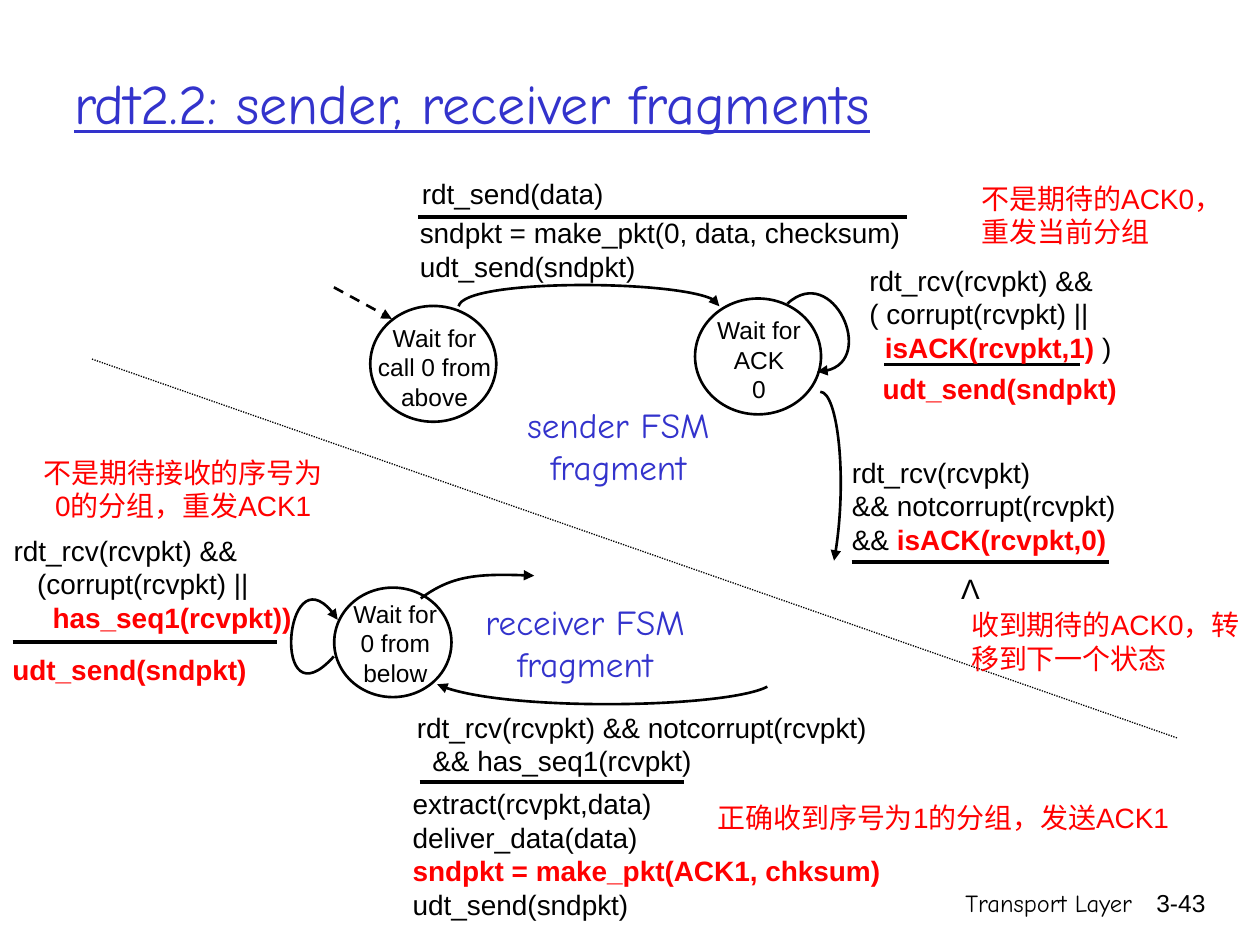
from dataclasses import dataclass
from typing import Any

from lxml.etree import SubElement
from pptx import Presentation
from pptx.dml.color import RGBColor
from pptx.enum.dml import MSO_LINE
from pptx.enum.shapes import MSO_CONNECTOR, MSO_SHAPE
from pptx.enum.text import MSO_ANCHOR, MSO_AUTO_SIZE, PP_ALIGN
from pptx.oxml.ns import qn
from pptx.util import Pt

Point = tuple[float, float]
Area = tuple[float, float, float, float]  # left, top, width, height


@dataclass(frozen=True)
class Theme:
    black: RGBColor = RGBColor(0, 0, 0)
    white: RGBColor = RGBColor(255, 255, 255)
    red: RGBColor = RGBColor(255, 0, 0)
    blue: RGBColor = RGBColor(0x33, 0x33, 0xCC)
    code_font: str = "Arial"
    title_font: str = "Comic Neue"
    title: float = 32
    heading: float = 20
    body: float = 16
    small: float = 14
    rule: float = 2.25
    outline: float = 1.5
    hairline: float = 0.75


THEME = Theme()
SPACE = 4.45  # width of one space in body text


@dataclass(frozen=True)
class Style:
    color: RGBColor = THEME.black
    size: float = THEME.body
    font: str = THEME.code_font
    align: PP_ALIGN = PP_ALIGN.LEFT
    anchor: MSO_ANCHOR = MSO_ANCHOR.TOP
    underline: bool = False
    wrap: bool = True
    grow: bool = False


@dataclass(frozen=True)
class Line:
    """A paragraph whose middle part is bold red."""
    before: str = ""
    strong: str = ""
    after: str = ""
    indent: int = 0


@dataclass(frozen=True)
class Label:
    area: Area
    lines: tuple[Line, ...]
    style: Style = Style()


@dataclass(frozen=True)
class State:
    circle: Area
    label: Label


@dataclass(frozen=True)
class Stroke:
    start: Point
    end: Point
    width: float = THEME.rule
    dash: Any = None
    arrow: bool = False


STATE = Style(size=THEME.small, align=PP_ALIGN.CENTER)
PAGE_NUMBER = Style(size=THEME.small, align=PP_ALIGN.RIGHT)
FOOTER = Style(size=THEME.small, font=THEME.title_font, align=PP_ALIGN.RIGHT)
TITLE = Style(THEME.blue, THEME.title, THEME.title_font, anchor=MSO_ANCHOR.MIDDLE, underline=True)
HEADING = Style(THEME.blue, THEME.heading, THEME.title_font, PP_ALIGN.CENTER, wrap=False, grow=True)
NOTE = Style(THEME.red, grow=True)
CENTRED_NOTE = Style(THEME.red, align=PP_ALIGN.CENTER, wrap=False, grow=True)
SYMBOL = Style(align=PP_ALIGN.CENTER, grow=True)

RECEIVE = Line("rdt_rcv(rcvpkt) &&")
SEND = Line("udt_send(sndpkt)")
RESEND = Line(strong="udt_send(sndpkt)")
FRAGMENT = Line("fragment")

LABELS = (
    Label((425.9, 504, 228.2, 36), (Line("Transport Layer"),), FOOTER),
    Label((642.7, 504, 53.3, 36), (Line("3-43"),), PAGE_NUMBER),
    Label((35.4, 13.5, 612, 90), (Line("rdt2.2: sender, receiver fragments"),), TITLE),
    Label((232.8, 119.7, 293, 31.7), (Line("sndpkt = make_pkt(0, data, checksum)"), SEND)),
    Label((234, 97.5, 136, 22.3), (Line("rdt_send(data)"),)),
    Label((497.3, 208.8, 167, 31.7), (RESEND,)),
    Label((489.7, 146.9, 213.8, 45.4), (
        RECEIVE, Line("( corrupt(rcvpkt) ||"), Line("", "isACK(rcvpkt,1)", " )", indent=2))),
    Label((479.7, 256.6, 190, 45.4), (
        Line("rdt_rcv(rcvpkt)"), Line("&& notcorrupt(rcvpkt)"), Line("&& ", "isACK(rcvpkt,0)"))),
    Label((291.5, 226.8, 124, 55.4), (Line("sender FSM"), FRAGMENT), HEADING),
    Label((231.1, 402.3, 310.3, 45.4), (
        Line("rdt_rcv(rcvpkt) && notcorrupt(rcvpkt)"), Line("&& has_seq1(rcvpkt)", indent=2))),
    Label((228.7, 446, 329, 54.7), (
        Line("extract(rcvpkt,data)"), Line("deliver_data(data)"),
        Line(strong="sndpkt = make_pkt(ACK1, chksum)"), SEND)),
    Label((0.7, 301.3, 185.8, 50.4), (
        RECEIVE, Line("(corrupt(rcvpkt) ||", indent=3), Line(strong="has_seq1(rcvpkt))", indent=5))),
    Label((0, 369.4, 160.6, 32.4), (RESEND,)),
    Label((268, 339.8, 132.9, 55.4), (Line("receiver FSM"), FRAGMENT), HEADING),
    Label((539.8, 323.3, 29.5, 26.6), (Line("Λ"),), SYMBOL),
    Label((395.2, 453.9, 287.7, 26.6), (Line("正确收到序号为1的分组，发送ACK1"),), CENTRED_NOTE),
    Label((15, 256.6, 179.5, 46), (Line("不是期待接收的序号为"), Line("0的分组，重发ACK1")), CENTRED_NOTE),
    Label((553.8, 100, 166.2, 46), (Line("不是期待的ACK0，重发当前分组"),), NOTE),
    Label((547.9, 343.6, 172, 46), (Line("收到期待的ACK0，转移到下一个状态"),), NOTE),
)

STATES = (
    State((211.6, 174.8, 72, 66.2),
          Label((206.6, 181, 83.5, 48.2), (Line("Wait for call 0 from above"),), STATE)),
    State((397.2, 170.6, 72, 66.2),
          Label((392, 176.7, 83.5, 48.2), (Line("Wait for ACK"), Line("0")), STATE)),
    State((191, 335.8, 67, 62.6),
          Label((194.4, 338.7, 63, 48.2), (Line("Wait for"), Line("0 from below")), STATE)),
)

STROKES = (
    Stroke((239, 123.8), (518.4, 123.8)),
    Stroke((505.4, 208.3), (617, 208.3)),
    Stroke((486.7, 321.1), (633.6, 321.1)),
    Stroke((239.8, 447.1), (391, 447.1)),
    Stroke((7.2, 367), (158.4, 367)),
    Stroke((190.8, 164.2), (223.9, 182.2), THEME.outline, MSO_LINE.DASH, True),
    Stroke((52.6, 205.2), (673.2, 421.9), THEME.hairline, MSO_LINE.ROUND_DOT),
)

# Start, two control points, and the end that carries the arrowhead
TRANSITIONS = (
    ((262.1, 175), (265, 159.1), (411.1, 159.8), (411.1, 175)),
    ((450, 173.5), (475.9, 149.8), (504, 211.7), (467, 212.4)),
    ((468.7, 223.9), (478.8, 223.9), (484.6, 277.2), (476.6, 320.4)),
    ((240.5, 342), (257.8, 329), (275, 327.6), (305.3, 329)),
    ((438.5, 392.4), (414.7, 404.6), (283, 406.8), (249.8, 391)),
    ((190.8, 375.1), (154.8, 415.4), (162.7, 308.2), (193, 354.2)),
)


def apply(target: Any, values: dict[str, Any]) -> None:
    for name, value in values.items():
        setattr(target, name, value)


def to_points(values: tuple[float, ...]) -> list[Pt]:
    return [Pt(value) for value in values]


def draw_label(shapes: Any, label: Label) -> None:
    style = label.style
    box = shapes.add_textbox(*to_points(label.area))
    frame = box.text_frame
    apply(frame, {
        "word_wrap": style.wrap,
        "vertical_anchor": style.anchor,
        "auto_size": MSO_AUTO_SIZE.SHAPE_TO_FIT_TEXT if style.grow else MSO_AUTO_SIZE.NONE,
    })
    for index, line in enumerate(label.lines):
        para = frame.add_paragraph() if index else frame.paragraphs[0]
        para.alignment = style.align
        if line.indent:
            para._p.get_or_add_pPr().set("marL", str(Pt(line.indent * SPACE)))
        for text, strong in ((line.before, False), (line.strong, True), (line.after, False)):
            if not text:
                continue
            span = para.add_run()
            span.text = text
            apply(span.font, {"name": style.font, "size": Pt(style.size),
                              "bold": strong, "underline": style.underline})
            span.font.color.rgb = THEME.red if strong else style.color


def set_line(shape: Any, width: float, dash: Any = None, arrow: bool = False) -> None:
    shape.line.color.rgb = THEME.black
    shape.line.width = Pt(width)
    if dash is not None:
        shape.line.dash_style = dash
    if arrow:
        SubElement(shape.element.spPr.find(qn("a:ln")), qn("a:tailEnd"), type="triangle")


def draw_state(shapes: Any, state: State) -> None:
    group = shapes.add_group_shape()
    circle = group.shapes.add_shape(MSO_SHAPE.OVAL, *to_points(state.circle))
    circle.shadow.inherit = False
    circle.fill.solid()
    circle.fill.fore_color.rgb = THEME.white
    set_line(circle, THEME.outline)
    draw_label(group.shapes, state.label)


def draw_stroke(shapes: Any, stroke: Stroke) -> None:
    connector = shapes.add_connector(MSO_CONNECTOR.STRAIGHT, *to_points(stroke.start + stroke.end))
    set_line(connector, stroke.width, stroke.dash, stroke.arrow)
    SubElement(connector.element.spPr, qn("a:effectLst"))


def draw_transition(shapes: Any, points: tuple[Point, ...]) -> None:
    """Draw a cubic curve by merging the outline's three segments into one."""
    start, *others = [to_points(point) for point in points]
    builder = shapes.build_freeform(*start, scale=1.0)
    builder.add_line_segments(others, close=False)
    curve = builder.convert_to_shape()
    curve.shadow.inherit = False
    curve.fill.background()
    set_line(curve, THEME.outline, arrow=True)
    outline = next(curve.element.iter(qn("a:path")))
    bezier = SubElement(outline, qn("a:cubicBezTo"))
    for segment in outline.findall(qn("a:lnTo")):
        bezier.append(segment[0])
        outline.remove(segment)


def main() -> None:
    deck = Presentation()
    apply(deck, {"slide_width": Pt(720), "slide_height": Pt(540)})
    page = deck.slides.add_slide(deck.slide_layouts[6])
    for draw, items in ((draw_state, STATES), (draw_stroke, STROKES),
                        (draw_transition, TRANSITIONS), (draw_label, LABELS)):
        for item in items:
            draw(page.shapes, item)
    deck.save("out.pptx")


if __name__ == "__main__":
    main()
